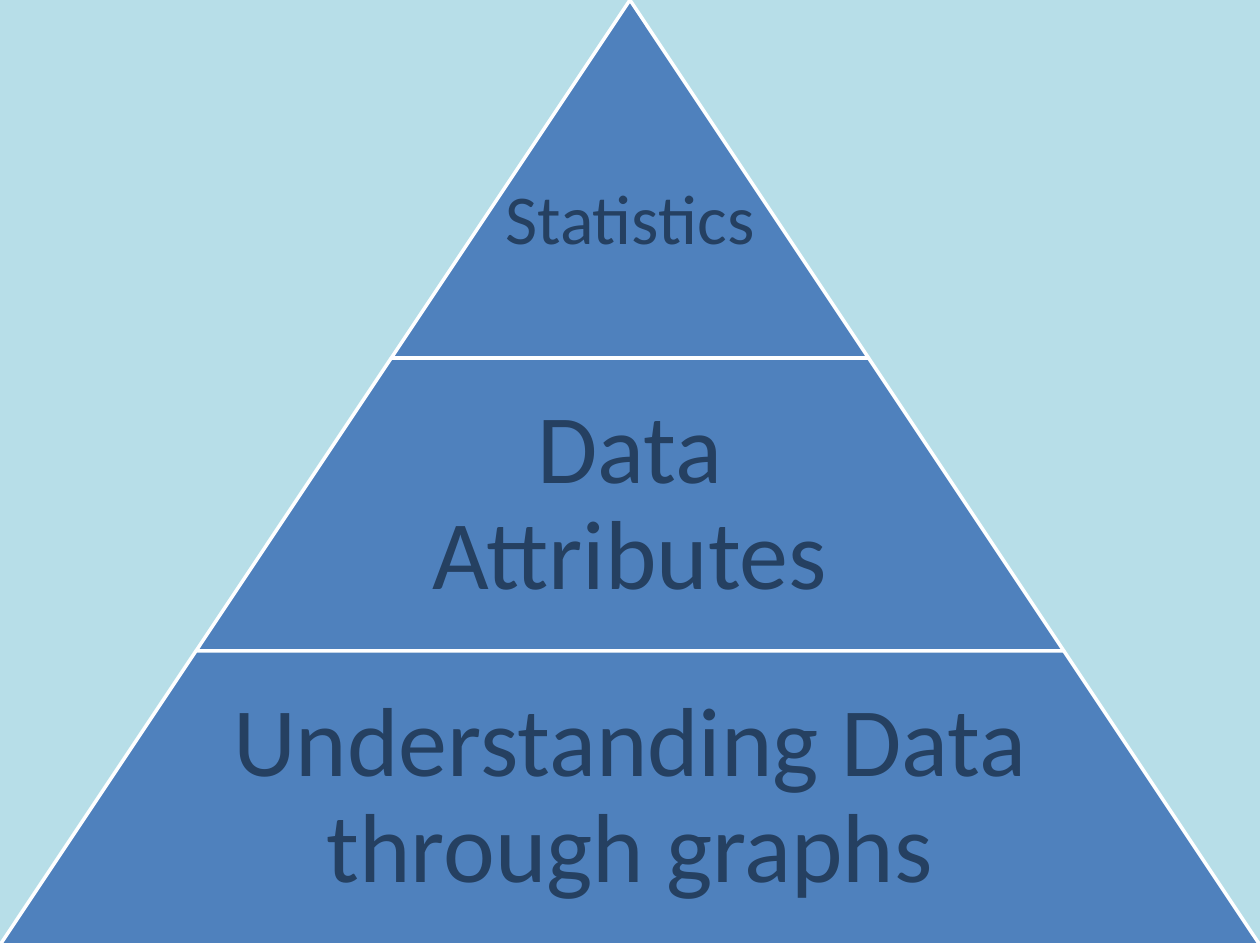
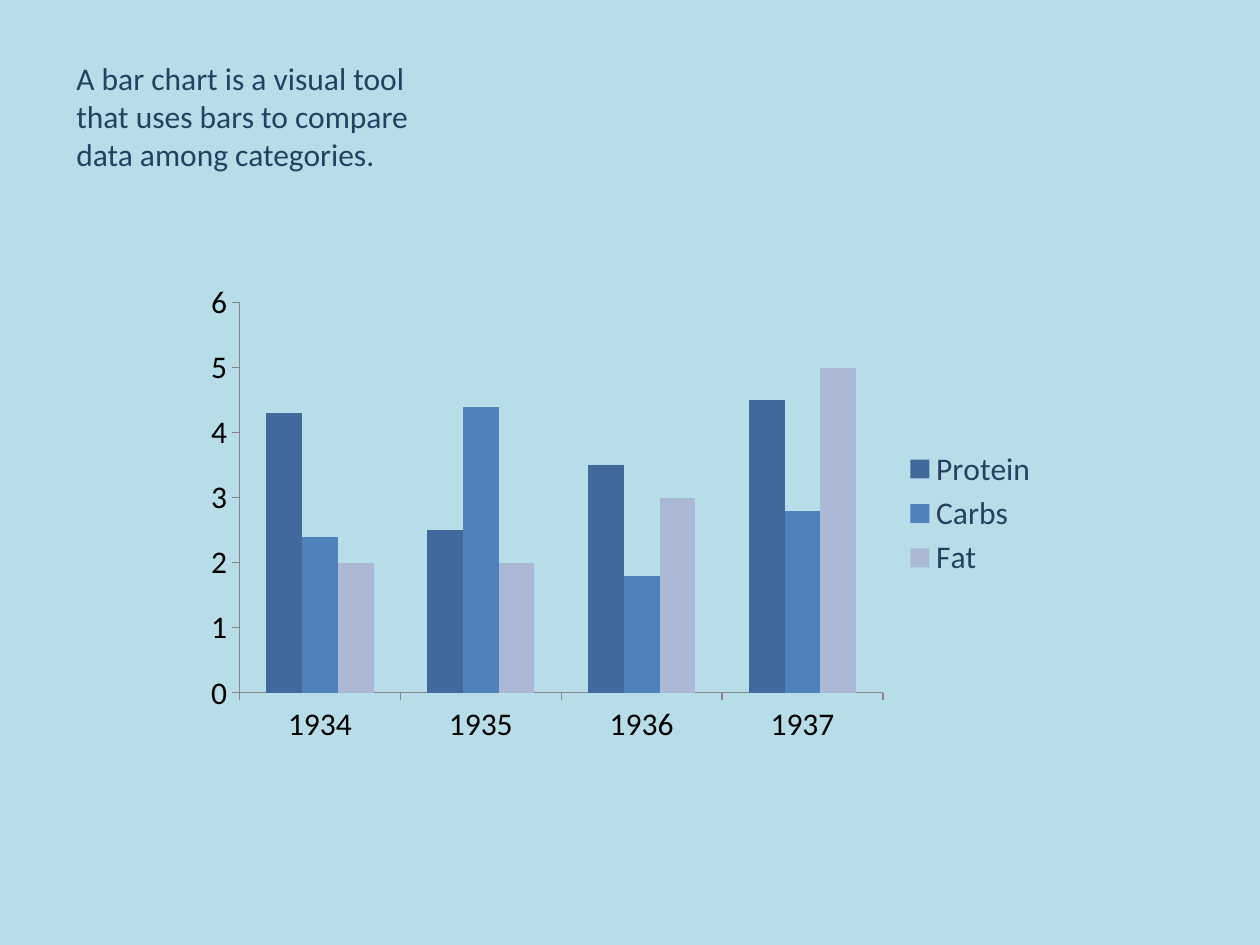
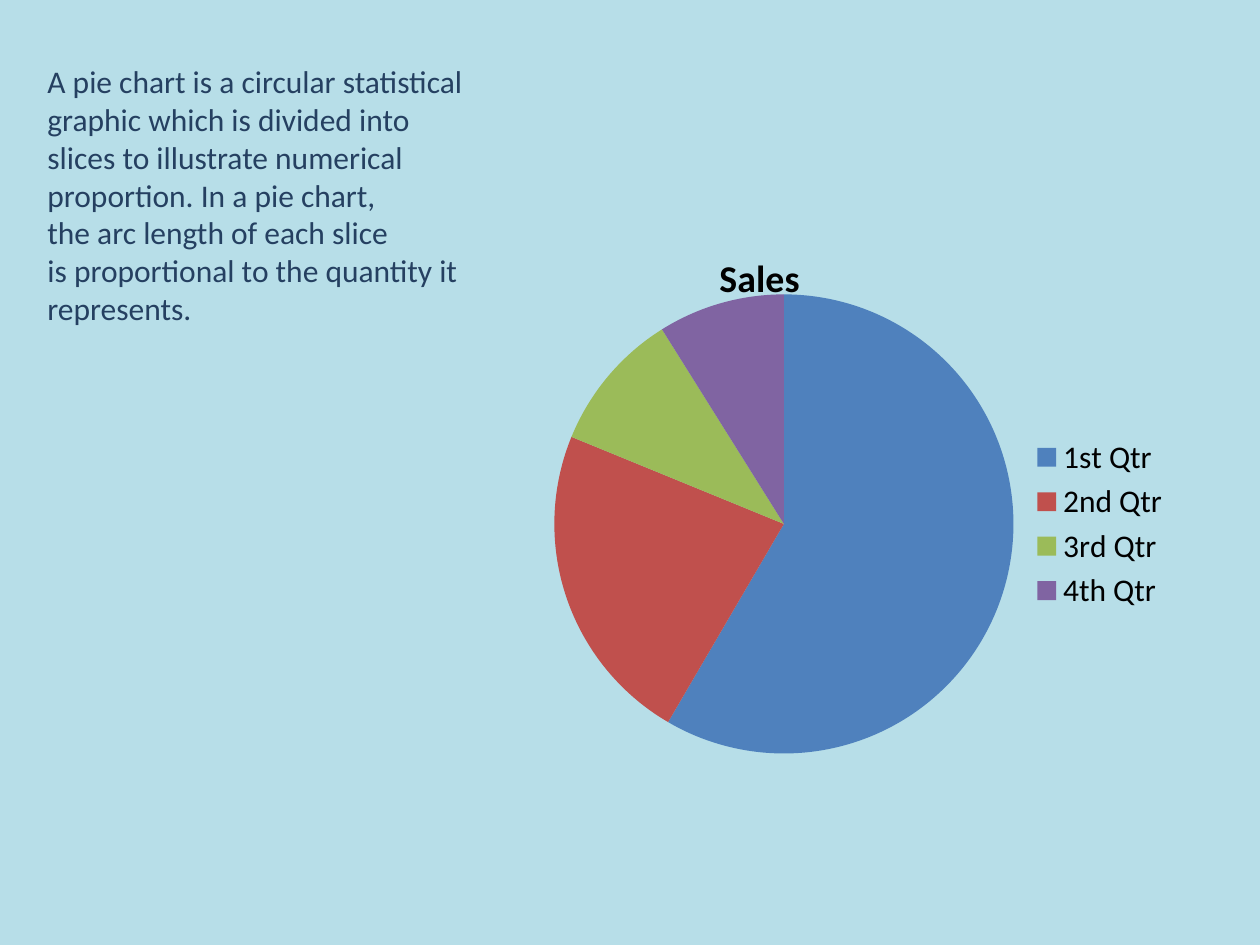
"""Three slides about data: a pyramid of topics, a bar chart and a pie chart."""
from lxml import etree
from pptx import Presentation
from pptx.chart.data import CategoryChartData
from pptx.dml.color import RGBColor
from pptx.enum.chart import XL_CHART_TYPE, XL_LEGEND_POSITION, XL_TICK_MARK
from pptx.enum.shapes import MSO_SHAPE
from pptx.enum.text import MSO_ANCHOR, MSO_AUTO_SIZE, PP_ALIGN
from pptx.oxml.ns import qn
from pptx.util import Emu, Pt

COLUMN = XL_CHART_TYPE.COLUMN_CLUSTERED
PIE = XL_CHART_TYPE.PIE
LEGEND_RIGHT = XL_LEGEND_POSITION.RIGHT
TICK_OUTSIDE = XL_TICK_MARK.OUTSIDE
TICK_NONE = XL_TICK_MARK.NONE
TRAPEZOID = MSO_SHAPE.TRAPEZOID
MIDDLE = MSO_ANCHOR.MIDDLE
GROW = MSO_AUTO_SIZE.SHAPE_TO_FIT_TEXT
CENTER = PP_ALIGN.CENTER

EMU_PER_PIXEL = 914400 / 126
SLIDE_WIDTH, SLIDE_HEIGHT = 1260, 945
FONT = "Calibri"
COLORS = {
    "background": "B7DEE8",
    "text": "254061",
    "black": "000000",
    "white": "FFFFFF",
    "axis": "868686",
    "blue": "4F81BD",
    "dark_blue": "406A9C",
    "lavender": "ABB9D7",
    "red": "C0504D",
    "green": "9BBB59",
    "purple": "8064A2",
}

# Bottom edge, text size, text width share, inset and top inset of each tier
PYRAMID_TIERS = [
    ("Statistics", 358, 40, 1, 5, 90),
    ("Data Attributes", 651, 56, 0.65, 10, 10),
    ("Understanding Data through graphs", 945, 56, 0.65, 10, 10),
]
# Each tier narrows by two thirds of its height on either side
TIER_SLOPE = 2 / 3

BAR_TEXT = ("A bar chart is a visual tool that uses bars to compare data "
            "among categories.")
BAR_YEARS = ["1934", "1935", "1936", "1937"]
BAR_SERIES = {
    "Protein": [4.3, 2.5, 3.5, 4.5],
    "Carbs": [2.4, 4.4, 1.8, 2.8],
    "Fat": [2, 2, 3, 5],
}
BAR_COLORS = ["dark_blue", "blue", "lavender"]

PIE_TEXT = ("A\u00a0pie chart is a circular\u00a0statistical graphic which is "
            "divided into slices to illustrate numerical proportion. In a pie "
            "chart, the\u00a0arc length\u00a0of each slice is"
            "\u00a0proportional\u00a0to the quantity it represents.")
PIE_QUARTERS = ["1st Qtr", "2nd Qtr", "3rd Qtr", "4th Qtr"]
PIE_SERIES = {"Sales": [59, 23, 10, 9]}
PIE_COLORS = ["blue", "red", "green", "purple"]
PIE_PLOT = {"layoutTarget": "inner", "xMode": "edge", "yMode": "edge",
            "x": 0.25, "y": 0.09, "w": 0.55, "h": 0.82}
PIE_TITLE = {"xMode": "edge", "yMode": "edge", "x": 0.44, "y": 0}


def px(length):
    """Turn pixels into EMU."""
    return Emu(round(length * EMU_PER_PIXEL))


def color(name):
    """Return a named colour."""
    return RGBColor.from_string(COLORS[name])


def apply(target, values):
    """Set attributes of an object from a dict."""
    for name, value in values.items():
        setattr(target, name, value)


def set_font(font, size, color_name, bold=False):
    """Set the shared typeface with a size and colour."""
    apply(font, {"name": FONT, "size": Pt(size), "bold": bold})
    font.color.rgb = color(color_name)


def fill_solid(target_format, color_name):
    """Give a shape, series or point format a solid fill."""
    target_format.fill.solid()
    target_format.fill.fore_color.rgb = color(color_name)


def add_slide(presentation):
    """Add a blank slide with the shared background."""
    slide = presentation.slides.add_slide(presentation.slide_layouts[6])
    fill_solid(slide.background, "background")
    return slide


def add_text(shapes, box, text, size, frame_format, paragraph_format):
    """Add a wrapping text box with one paragraph."""
    frame = shapes.add_textbox(*map(px, box)).text_frame
    apply(frame, {"word_wrap": True, **frame_format})
    paragraph = frame.paragraphs[0]
    apply(paragraph, paragraph_format)
    run = paragraph.add_run()
    run.text = text
    set_font(run.font, size, "text")


def add_pyramid(slide):
    """Stack trapezoids into one triangle that fills the slide."""
    shapes = slide.shapes.add_group_shape().shapes
    top = 0
    for text, bottom, size, share, inset, top_inset in PYRAMID_TIERS:
        width, height = bottom * SLIDE_WIDTH / SLIDE_HEIGHT, bottom - top
        left = (SLIDE_WIDTH - width) / 2
        tier = shapes.add_shape(TRAPEZOID, *map(px, (left, top, width, height)))
        tier.adjustments[0] = TIER_SLOPE
        tier.shadow.inherit = False
        fill_solid(tier, "blue")
        tier.line.color.rgb = color("white")
        tier.line.width = Pt(2)

        text_width = width * share
        box = ((SLIDE_WIDTH - text_width) / 2, top, text_width, height)
        frame_format = {
            "vertical_anchor": MIDDLE,
            "margin_left": px(inset),
            "margin_right": px(inset),
            "margin_top": px(top_inset),
            "margin_bottom": px(inset),
        }
        add_text(shapes, box, text, size, frame_format,
                 {"alignment": CENTER, "line_spacing": 0.9})
        top = bottom


def add_chart(slide, kind, box, categories, series, legend_color):
    """Add a chart with the shared font and a legend on the right."""
    data = CategoryChartData()
    data.categories = categories
    for name, values in series.items():
        data.add_series(name, values)
    chart = slide.shapes.add_chart(kind, *map(px, box), data).chart
    set_font(chart.font, 18, "black")
    chart.has_legend = True
    apply(chart.legend, {"position": LEGEND_RIGHT, "include_in_layout": False})
    set_font(chart.legend.font, 18, legend_color)
    return chart


def add_bar_chart(slide, box):
    """Add the clustered columns with plain axes."""
    chart = add_chart(slide, COLUMN, box, BAR_YEARS, BAR_SERIES, "text")
    chart.has_title = False
    plot = chart.plots[0]
    apply(plot, {"gap_width": 150, "overlap": 0, "vary_by_categories": False})
    for series, color_name in zip(plot.series, BAR_COLORS):
        fill_solid(series.format, color_name)
    for axis in (chart.category_axis, chart.value_axis):
        apply(axis, {"has_major_gridlines": False,
                     "major_tick_mark": TICK_OUTSIDE,
                     "minor_tick_mark": TICK_NONE})
        axis.format.line.color.rgb = color("axis")
        axis.format.line.width = Pt(0.75)
    apply(chart.value_axis, {"minimum_scale": 0, "maximum_scale": 6,
                             "major_unit": 1})


def place_part(chart, tag, settings):
    """Fix a chart part at fractions of the chart's size."""
    part = chart.element.find(".//" + qn(tag))
    for old_layout in part.findall(qn("c:layout")):
        part.remove(old_layout)
    layout = etree.Element(qn("c:layout"))
    manual = etree.SubElement(layout, qn("c:manualLayout"))
    for name, value in settings.items():
        etree.SubElement(manual, qn("c:" + name)).set("val", str(value))
    text = part.find(qn("c:tx"))
    part.insert(0 if text is None else 1, layout)


def add_pie_chart(slide, box):
    """Add the pie with one colour per quarter and its title above."""
    chart = add_chart(slide, PIE, box, PIE_QUARTERS, PIE_SERIES, "black")
    chart.has_title = True
    paragraph = chart.chart_title.text_frame.paragraphs[0]
    run = paragraph.add_run()
    run.text = "Sales"
    set_font(run.font, 21.6, "black", bold=True)
    plot = chart.plots[0]
    plot.vary_by_categories = True
    for index, color_name in enumerate(PIE_COLORS):
        fill_solid(plot.series[0].points[index].format, color_name)
    place_part(chart, "c:title", PIE_TITLE)
    place_part(chart, "c:plotArea", PIE_PLOT)


def main():
    """Build and save the presentation."""
    presentation = Presentation()
    apply(presentation, {"slide_width": px(SLIDE_WIDTH),
                         "slide_height": px(SLIDE_HEIGHT)})

    add_pyramid(add_slide(presentation))

    slide = add_slide(presentation)
    add_text(slide.shapes, (64, 53, 377, 165), BAR_TEXT, 18,
             {"auto_size": GROW}, {})
    add_bar_chart(slide, (194, 274, 857, 479))

    slide = add_slide(presentation)
    add_text(slide.shapes, (35, 56, 446, 280), PIE_TEXT, 18,
             {"auto_size": GROW}, {})
    add_pie_chart(slide, (343, 244, 840, 560))

    presentation.save("out.pptx")


main()
